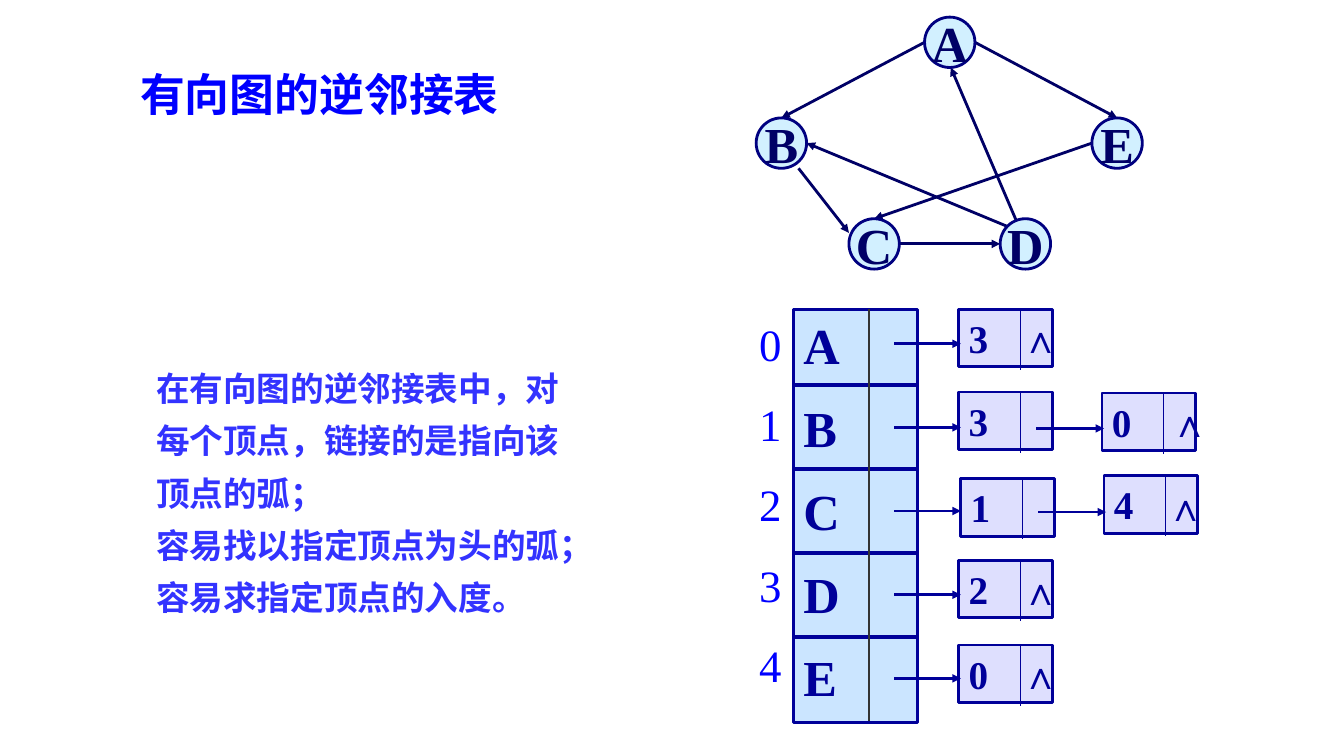
import pptx
import pptx.util
import pptx.dml.color
import pptx.enum.shapes
import pptx.enum.text
import pptx.oxml
import pptx.oxml.ns
from lxml import etree

Inches = pptx.util.Inches
Pt = pptx.util.Pt
RGBColor = pptx.dml.color.RGBColor
Kind = pptx.enum.shapes.MSO_SHAPE
Align = pptx.enum.text.PP_ALIGN
Anchor = pptx.enum.text.MSO_ANCHOR
qn = pptx.oxml.ns.qn

EDGE = RGBColor(0x00, 0x00, 0x66)
RING = RGBColor(0x00, 0x00, 0x80)
DISC = RGBColor(0xA7, 0xE2, 0xFF)
NAVY = RGBColor(0x00, 0x00, 0x99)
TABLE = RGBColor(0x99, 0xCC, 0xFF)
LILAC = RGBColor(0xBE, 0xC1, 0xFE)
GREY = RGBColor(0x33, 0x33, 0x33)
BLUE = RGBColor(0x00, 0x00, 0xFF)
BODY = RGBColor(0x33, 0x33, 0xFF)
SERIF = "Times New Roman"
SANS = "Noto Sans CJK SC"


class Board:
    """Style and current slide."""

    def __init__(self, slide):
        self.slide = slide
        self.shapes = slide.shapes

    def label(self, frame, lines, size, color, bold=True, face=SERIF,
              gap=0, pitch=None, align=Align.LEFT, wrap=True, anchor=Anchor.TOP):
        frame.word_wrap = wrap
        frame.vertical_anchor = anchor
        for i, line in enumerate(lines):
            para = frame.paragraphs[0] if i == 0 else frame.add_paragraph()
            run = para.add_run()
            run.text = line
            para.alignment = align
            if i and gap:
                para.space_before = Pt(gap)
            if pitch:
                para.line_spacing = Pt(pitch)
            font = para.font
            font.size, font.bold, font.name = Pt(size), bold, face
            font.color.rgb = color
            if not line.isascii():
                props = run._r.get_or_add_rPr()
                etree.SubElement(props, qn("a:ea"), typeface=SANS)

    def title(self, text, box, size, color):
        shape = self.shapes.title
        shape.left, shape.top, shape.width, shape.height = map(Inches, box)
        self.label(shape.text_frame, [text], size, color, face=SANS)

    def text(self, lines, box, size, color, **style):
        shape = self.shapes.add_textbox(*map(Inches, box))
        self.label(shape.text_frame, lines, size, color, **style)

    def shape(self, kind, lines, box, fill, line, width, size, color, **style):
        """Half-transparent shape with text."""
        shape = self.shapes.add_shape(kind, *map(Inches, box))
        shape.shadow.inherit = False
        shape.fill.solid()
        shape.fill.fore_color.rgb = fill
        tint = shape._element.spPr.find(qn("a:solidFill")).find(qn("a:srgbClr"))
        etree.SubElement(tint, qn("a:alpha"), val="50000")
        shape.line.color.rgb = line
        shape.line.width = Pt(width)
        self.label(shape.text_frame, lines, size, color, **style)

    def line(self, start, end, color, width, arrow=False):
        link = self.shapes.add_connector(
            pptx.enum.shapes.MSO_CONNECTOR.STRAIGHT, *map(Inches, start + end))
        link.line.color.rgb = color
        link.line.width = Pt(width)
        props = link._element.spPr
        if arrow:
            etree.SubElement(props.find(qn("a:ln")), qn("a:tailEnd"), type="triangle")
        etree.SubElement(props, qn("a:effectLst"))

    def vertex(self, name, x, y):
        self.shape(Kind.OVAL, [name], (x, y, 0.5, 0.5), DISC, RING, 2, 36, EDGE,
                   align=Align.CENTER, wrap=False, anchor=Anchor.MIDDLE)

    def node(self, value, x, y):
        """List node: value cell and link cell."""
        self.shape(Kind.RECTANGLE, [value], (x, y, 0.93, 0.57), LILAC, NAVY, 2, 28, NAVY)
        self.line((x + 0.61, y + 0.01), (x + 0.61, y + 0.6), NAVY, 1)

    def null(self, x, y):
        self.text(["∧"], (x, y, 0.44, 0.57), 28, NAVY, wrap=False)


def main():
    deck = pptx.Presentation()
    deck.slide_width, deck.slide_height = Inches(13.33), Inches(7.5)
    board = Board(deck.slides.add_slide(deck.slide_layouts[5]))

    # Title and explanation
    board.title("有向图的逆邻接表", (1.29, 0.61, 3.97, 0.66), 32, BLUE)
    board.text(["在有向图的逆邻接表中，对每个顶点，链接的是指向该顶点的弧；",
                "容易找以指定顶点为头的弧；",
                "容易求指定顶点的入度。"],
               (1.45, 3.48, 4.42, 2.67), 24, BODY, pitch=37.4)

    # Directed graph
    arcs = [((9.17, 0.42), (7.75, 1.17)), ((7.92, 1.67), (8.42, 2.31)),
            ((8.92, 2.42), (9.92, 2.42)), ((10.08, 2.19), (9.43, 0.67)),
            ((9.67, 0.42), (11.08, 1.17)), ((10, 2.25), (8, 1.42)),
            ((10.83, 1.42), (8.67, 2.17))]
    for start, end in arcs:
        board.line(start, end, EDGE, 2, arrow=True)
    for name, x, y in [("A", 9.17, 0.17), ("B", 7.5, 1.17), ("E", 10.83, 1.17),
                       ("C", 8.42, 2.17), ("D", 9.92, 2.17)]:
        board.vertex(name, x, y)

    # Vertex table with row numbers
    board.shape(Kind.RECTANGLE, list("ABCDE"), (7.87, 3.07, 1.23, 4.1),
                TABLE, NAVY, 2.5, 36, NAVY, gap=16)
    for i in range(4):
        y = 3.82 + i * 2.5 / 3
        board.line((7.87, y), (9.12, y), NAVY, 2.25)
    board.line((8.62, 3.07), (8.62, 7.15), GREY, 1)
    board.text(list("01234"), (7.43, 3.09, 0.43, 3.98), 32, BLUE,
               bold=False, gap=19, wrap=False)

    # Linked lists: nodes of each row, then the place of the end mark
    rows = [([("3", 9.51, 3.07)], (10.03, 3.07)),
            ([("3", 9.51, 3.89), ("0", 10.93, 3.9)], (11.51, 3.9)),
            ([("1", 9.53, 4.75), ("4", 10.95, 4.72)], (11.47, 4.74)),
            ([("2", 9.51, 5.56)], (10.03, 5.57)),
            ([("0", 9.51, 6.4)], (10.03, 6.4))]
    for i, (nodes, mark) in enumerate(rows):
        for node in nodes:
            board.node(*node)
        y = 3.41 + i * 0.83
        board.line((8.87, y), (9.53, y), NAVY, 2, arrow=True)
        if len(nodes) > 1:
            x = nodes[1][1]
            board.line((x - 0.65, y + 0.01), (x + 0.02, y + 0.01), NAVY, 2, arrow=True)
        board.null(*mark)

    deck.save("out.pptx")


if __name__ == "__main__":
    main()
